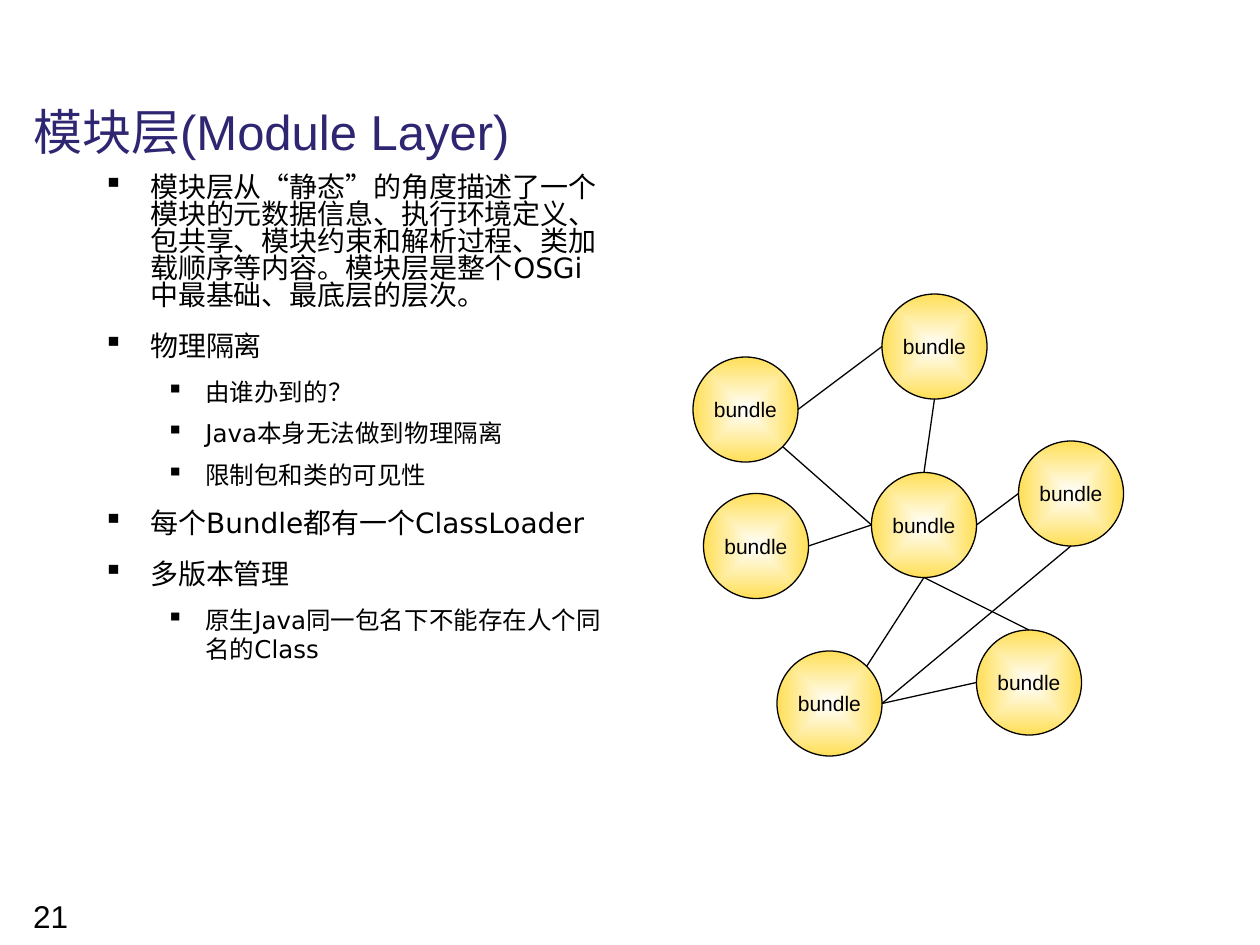
import math
from typing import NamedTuple

import pptx
import pptx.dml.color
import pptx.enum.shapes
import pptx.enum.text
import pptx.oxml
import pptx.oxml.ns
import pptx.util
from lxml import etree

Cm, Pt = pptx.util.Cm, pptx.util.Pt
ANCHOR = pptx.enum.text.MSO_ANCHOR
ALIGN = pptx.enum.text.PP_ALIGN
qn = pptx.oxml.ns.qn

BLACK, INDIGO, YELLOW, WHITE = "000000", "2F2672", "FFDF57", "FFFFFF"
GRID = 2.54 / 12  # diagram grid step in cm
DIAMETER = 10  # bundle diameter in grid steps


class Bundle(NamedTuple):
    col: float
    row: float

    def site(self, angle: float) -> tuple:
        """Point on the rim, clockwise in degrees from the right side."""
        radius, turn = DIAMETER / 2, math.radians(angle)
        return (Cm(GRID * (self.col + radius + radius * math.cos(turn))),
                Cm(GRID * (self.row + radius + radius * math.sin(turn))))


class Link(NamedTuple):
    start: str
    start_angle: float
    end: str
    end_angle: float


class Level(NamedTuple):
    size: float
    margin: float
    hanging: float
    paragraph: dict


RIGHT, LOWER_RIGHT, BOTTOM, LEFT, TOP, UPPER_RIGHT = 0, 45, 90, 180, 270, 315

BUNDLES = {
    "upper left": Bundle(66, 34),
    "centre": Bundle(83, 45),
    "left": Bundle(67, 47),
    "lower right": Bundle(93, 60),
    "top": Bundle(84, 28),
    "bottom": Bundle(74, 62),
    "right": Bundle(97, 42),
}
LINKS = [
    Link("left", RIGHT, "centre", LEFT),
    Link("bottom", UPPER_RIGHT, "centre", BOTTOM),
    Link("bottom", RIGHT, "lower right", LEFT),
    Link("lower right", TOP, "centre", BOTTOM),
    Link("bottom", RIGHT, "right", BOTTOM),
    Link("centre", RIGHT, "right", LEFT),
    Link("centre", TOP, "top", BOTTOM),
    Link("upper left", RIGHT, "top", LEFT),
    Link("upper left", LOWER_RIGHT, "centre", LEFT),
]
LEVELS = [
    Level(16, 0.95, 0.95, {"line_spacing": 0.8, "space_before": Pt(10),
                           "space_after": Pt(4)}),
    Level(14, 2.06, 0.79, {"level": 1, "space_before": Pt(4.4),
                           "space_after": Pt(2.6)}),
]
POINTS = [
    (0, "模块层从“静态”的角度描述了一个模块的元数据信息、执行环境定义、包共享、"
        "模块约束和解析过程、类加载顺序等内容。模块层是整个OSGi中最基础、最底层的层次。"),
    (0, "物理隔离"),
    (1, "由谁办到的？"),
    (1, "Java本身无法做到物理隔离"),
    (1, "限制包和类的可见性"),
    (0, "每个Bundle都有一个ClassLoader"),
    (0, "多版本管理"),
    (1, "原生Java同一包名下不能存在人个同名的Class"),
]


def rgb(value: str) -> pptx.dml.color.RGBColor:
    return pptx.dml.color.RGBColor.from_string(value)


def apply(target, values: dict) -> None:
    for name, value in values.items():
        setattr(target, name, value)


def write(p, text: str, size: float, color: str = BLACK, font: str = "Arial") -> None:
    r = p.add_run()
    r.text = text
    apply(r.font, {"size": Pt(size), "name": font})
    r.font.color.rgb = rgb(color)


def add_bullet(p, level: Level) -> None:
    pPr = p._p.get_or_add_pPr()
    pPr.set("marL", str(Cm(level.margin)))
    pPr.set("indent", str(-Cm(level.hanging)))
    bullet_color = etree.SubElement(pPr, qn("a:buClr"))
    etree.SubElement(bullet_color, qn("a:srgbClr"), val=BLACK)
    etree.SubElement(pPr, qn("a:buChar"), char="▪")


def add_points(s) -> None:
    tf = s.shapes.add_textbox(Cm(1.83), Cm(3.43), Cm(10.54), Cm(14.02)).text_frame
    tf.word_wrap = True
    for i, (depth, text) in enumerate(POINTS):
        p = tf.add_paragraph() if i else tf.paragraphs[0]
        level = LEVELS[depth]
        add_bullet(p, level)
        apply(p, level.paragraph)
        if i == 0:
            p.space_before = Pt(0)
        write(p, text, level.size, font="DejaVu Sans")


def add_bundle(s, bundle: Bundle) -> None:
    sp = s.shapes.add_shape(pptx.enum.shapes.MSO_SHAPE.OVAL,
                            Cm(GRID * bundle.col), Cm(GRID * bundle.row),
                            Cm(GRID * DIAMETER), Cm(GRID * DIAMETER))
    sp.shadow.inherit = False
    sp.line.color.rgb = rgb(BLACK)
    sp.line.width = Pt(0.75)

    # Gradient from the centre outwards
    sp.fill.gradient()
    for stop, color in zip(sp.fill.gradient_stops, (WHITE, YELLOW)):
        stop.color.rgb = rgb(color)
    grad = sp._element.spPr.find(qn("a:gradFill"))
    grad.remove(grad.find(qn("a:lin")))
    centre = etree.SubElement(grad, qn("a:path"), {"path": "rect"})
    etree.SubElement(centre, qn("a:fillToRect"),
                     {side: "50000" for side in "ltrb"})

    tf = sp.text_frame
    apply(tf, {"word_wrap": False, "vertical_anchor": ANCHOR.MIDDLE})
    p = tf.paragraphs[0]
    p.alignment = ALIGN.CENTER
    write(p, "bundle", 12)


def add_link(s, link: Link) -> None:
    start = BUNDLES[link.start].site(link.start_angle)
    end = BUNDLES[link.end].site(link.end_angle)
    line = s.shapes.add_connector(pptx.enum.shapes.MSO_CONNECTOR.STRAIGHT, *start, *end)
    line.line.color.rgb = rgb(BLACK)
    line.line.width = Pt(0.75)
    etree.SubElement(line._element.spPr, qn("a:effectLst"))


def main() -> None:
    prs = pptx.Presentation()
    apply(prs, {"slide_width": Cm(25.4), "slide_height": Cm(19.05)})
    s = prs.slides.add_slide(prs.slide_layouts[5])

    # Title
    title = s.shapes.title
    apply(title, {"left": Cm(0.42), "top": Cm(2.06),
                  "width": Cm(22.91), "height": Cm(1.4)})
    apply(title.text_frame, {"word_wrap": True, "vertical_anchor": ANCHOR.TOP,
                             "auto_size": pptx.enum.text.MSO_AUTO_SIZE.NONE})
    p = title.text_frame.paragraphs[0]
    apply(p, {"alignment": ALIGN.LEFT, "line_spacing": 0.9})
    write(p, "模块层(Module Layer)", 28, INDIGO)

    # Bulleted text
    add_points(s)

    # Bundle network
    for bundle in BUNDLES.values():
        add_bundle(s, bundle)
    for link in LINKS:
        add_link(s, link)

    # Page number
    tf = s.shapes.add_textbox(Cm(0.42), Cm(17.96), Cm(2.79), Cm(0.89)).text_frame
    tf.word_wrap = True
    write(tf.paragraphs[0], "21", 18)

    prs.save("out.pptx")


if __name__ == "__main__":
    main()
